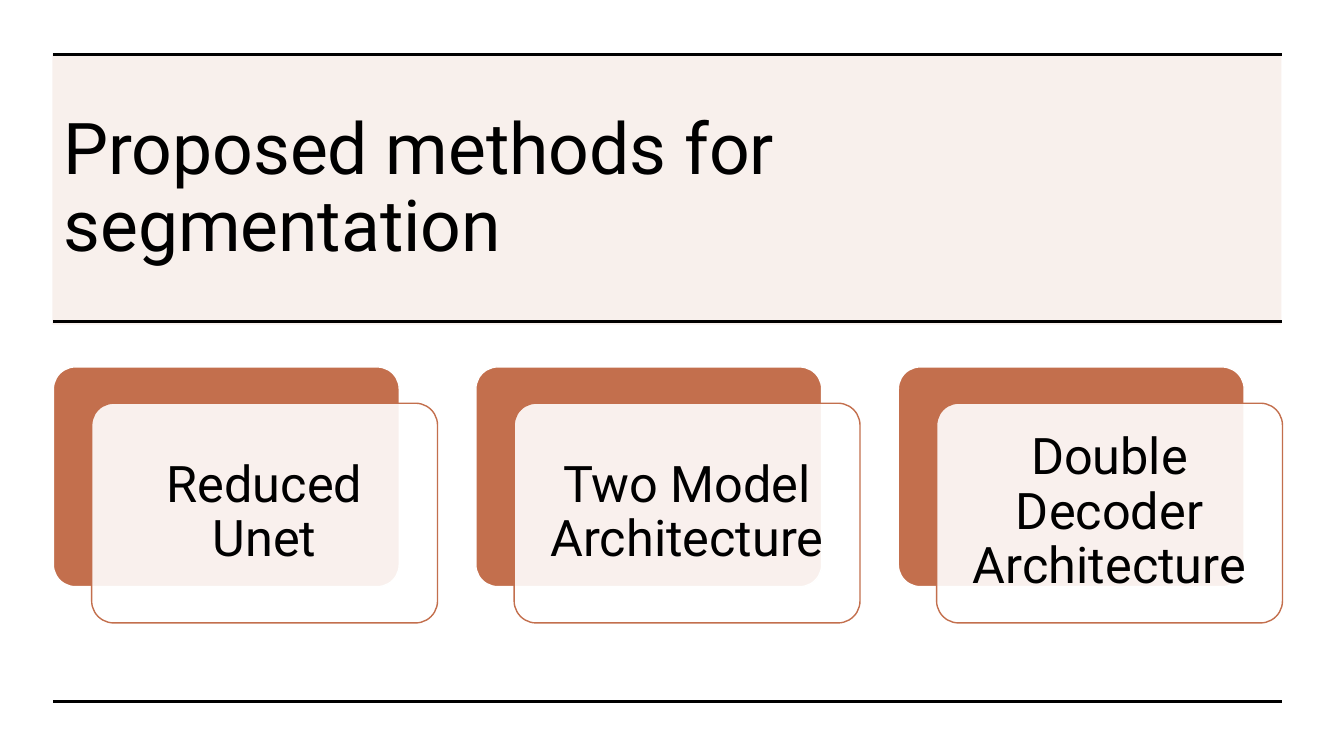
from dataclasses import dataclass

import pptx
import pptx.dml.color
import pptx.enum.shapes
import pptx.enum.text
import pptx.oxml.ns
import pptx.util
import lxml.etree

EMU_PER_PX = 9144  # 100 px to the inch
FONT = "Roboto"
BLACK, WHITE, TERRACOTTA = "000000", "FFFFFF", "C36F4D"

RULE_LEFT, RULE_RIGHT = 53, 1272
RULE_TOPS = (54, 319, 696)
CARD_WIDTH, CARD_HEIGHT = 343, 218
CARD_LEFT, CARD_TOP, CARD_PITCH = 53, 364, 419
FRONT_SHIFT_X, FRONT_SHIFT_Y = 38, 36
CARD_PADDING = 15
METHODS = ("Reduced Unet", "Two Model Architecture", "Double Decoder Architecture")

RECTANGLE = pptx.enum.shapes.MSO_SHAPE.RECTANGLE
ROUNDED = pptx.enum.shapes.MSO_SHAPE.ROUNDED_RECTANGLE
LEFT = pptx.enum.text.PP_ALIGN.LEFT
CENTER = pptx.enum.text.PP_ALIGN.CENTER


@dataclass(frozen=True)
class Box:
    left: int
    top: int
    width: int
    height: int


@dataclass(frozen=True)
class Panel:
    box: Box
    kind: pptx.enum.shapes.MSO_SHAPE
    fill: str
    opacity: int = 100
    line: str | None = None


def px(length: int) -> pptx.util.Emu:
    return pptx.util.Emu(length * EMU_PER_PX)


def color(value: str) -> pptx.dml.color.RGBColor:
    return pptx.dml.color.RGBColor.from_string(value)


def bounds(box: Box) -> tuple:
    return px(box.left), px(box.top), px(box.width), px(box.height)


def draw_panel(slide, panel: Panel):
    shape = slide.shapes.add_shape(panel.kind, *bounds(panel.box))
    shape.shadow.inherit = False
    if panel.kind == ROUNDED:
        shape.adjustments[0] = 0.1
    shape.fill.solid()
    shape.fill.fore_color.rgb = color(panel.fill)
    if panel.opacity < 100:
        fill_color = shape._element.spPr.find(pptx.oxml.ns.qn("a:solidFill"))[0]
        alpha = lxml.etree.SubElement(fill_color, pptx.oxml.ns.qn("a:alpha"))
        alpha.set("val", str(panel.opacity * 1000))
    if panel.line:
        shape.line.color.rgb = color(panel.line)
        shape.line.width = pptx.util.Pt(1)
    else:
        shape.line.fill.background()
    return shape


def write_text(shape, text: str, size: int, alignment: pptx.enum.text.PP_ALIGN) -> None:
    frame = shape.text_frame
    frame.word_wrap = True
    frame.vertical_anchor = pptx.enum.text.MSO_ANCHOR.MIDDLE
    paragraph = frame.paragraphs[0]
    paragraph.text = text
    paragraph.alignment = alignment
    paragraph.line_spacing = 0.9
    paragraph.font.name = FONT
    paragraph.font.size = pptx.util.Pt(size)
    paragraph.font.color.rgb = color(BLACK)


def draw_rule(slide, top: int) -> None:
    rule = slide.shapes.add_connector(
        pptx.enum.shapes.MSO_CONNECTOR.STRAIGHT,
        px(RULE_LEFT), px(top), px(RULE_RIGHT), px(top),
    )
    rule.line.color.rgb = color(BLACK)
    rule.line.width = pptx.util.Pt(2.25)
    lxml.etree.SubElement(rule._element.spPr, pptx.oxml.ns.qn("a:effectLst"))


def draw_method(slide, left: int, label: str) -> None:
    back = Box(left, CARD_TOP, CARD_WIDTH, CARD_HEIGHT)
    front = Box(left + FRONT_SHIFT_X, CARD_TOP + FRONT_SHIFT_Y, CARD_WIDTH, CARD_HEIGHT)
    draw_panel(slide, Panel(back, ROUNDED, TERRACOTTA, line=WHITE))
    card = draw_panel(slide, Panel(front, ROUNDED, WHITE, opacity=90, line=TERRACOTTA))
    frame = card.text_frame
    frame.margin_left = frame.margin_right = px(CARD_PADDING)
    frame.margin_top = frame.margin_bottom = px(CARD_PADDING)
    write_text(card, label, 36, CENTER)


def main() -> None:
    presentation = pptx.Presentation()
    presentation.slide_width, presentation.slide_height = px(1333), px(750)
    slide = presentation.slides.add_slide(presentation.slide_layouts[6])

    # Title band
    draw_panel(slide, Panel(Box(52, 53, 1219, 269), RECTANGLE, TERRACOTTA, opacity=10))
    title = slide.shapes.add_textbox(*bounds(Box(53, 107, 1133, 163)))
    write_text(title, "Proposed methods for segmentation", 51, LEFT)

    # Horizontal rules
    for top in RULE_TOPS:
        draw_rule(slide, top)

    # Method cards
    for index, label in enumerate(METHODS):
        draw_method(slide, CARD_LEFT + index * CARD_PITCH, label)

    presentation.save("out.pptx")


if __name__ == "__main__":
    main()
